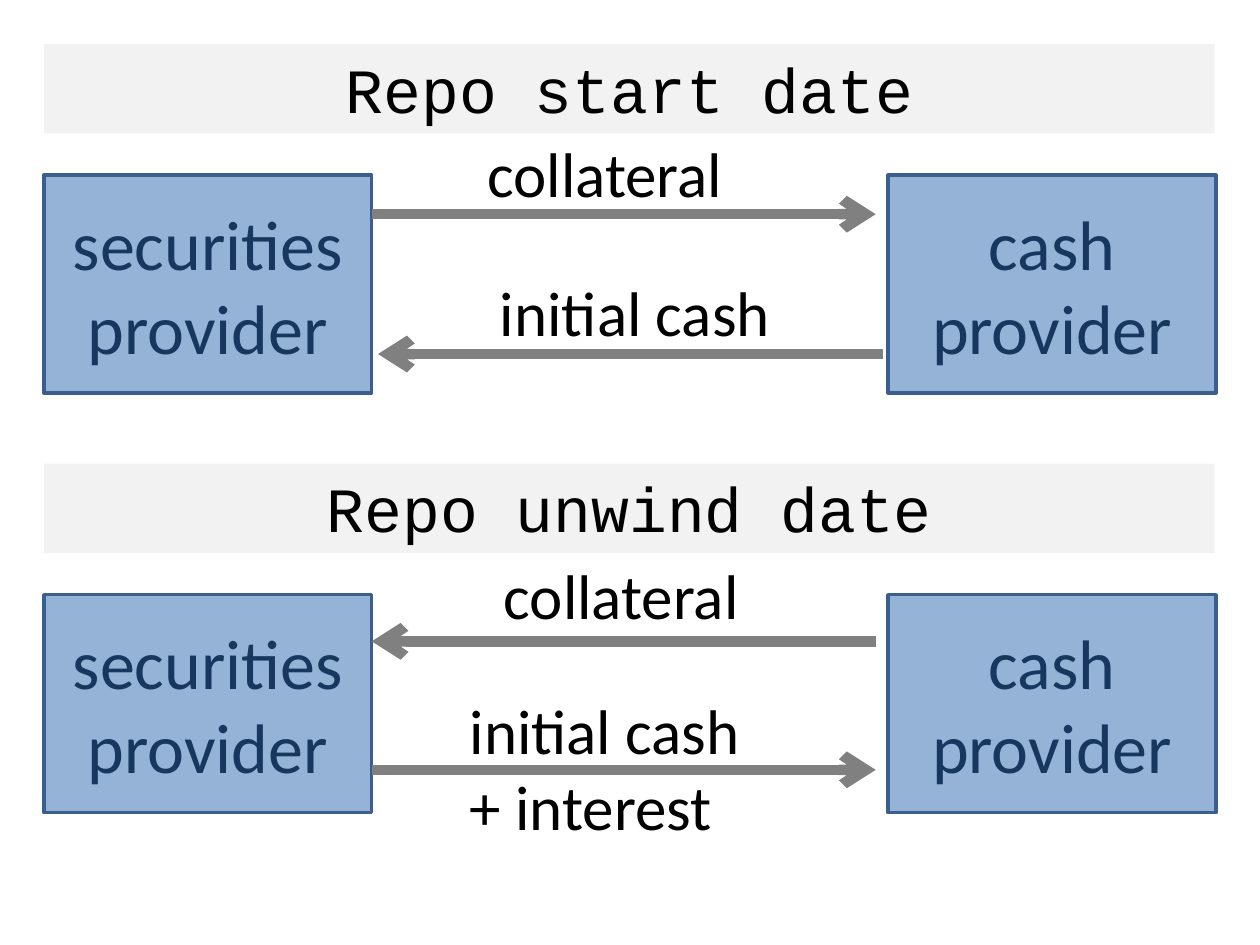
from lxml.etree import SubElement
from pptx import Presentation
from pptx.dml.color import RGBColor
from pptx.enum.shapes import MSO_CONNECTOR, MSO_SHAPE
from pptx.enum.text import MSO_ANCHOR, MSO_AUTO_SIZE, PP_ALIGN
from pptx.oxml.ns import qn
from pptx.util import Inches, Pt

BLACK = RGBColor(0x00, 0x00, 0x00)
NAVY = RGBColor(0x17, 0x37, 0x5E)
BLUE = RGBColor(0x95, 0xB3, 0xD7)
EDGE = RGBColor(0x3A, 0x5F, 0x8C)
GRAY = RGBColor(0x80, 0x80, 0x80)
PALE = RGBColor(0xF2, 0xF2, 0xF2)

LEFT, RIGHT = 0.35, 7.05
PARTY_WIDTH, PARTY_HEIGHT = 2.6, 1.73
FLOW_START, FLOW_END = LEFT + PARTY_WIDTH, 6.95


class RepoDiagram:
    """Draws the parties and flows of a repo on one slide."""

    def __init__(self, slide):
        self.shapes = slide.shapes
        self.body_font = "Calibri"
        self.heading_font = "Courier New"

    def set_text(self, shape, text, font, size, color, align):
        frame = shape.text_frame
        frame.text = text
        for paragraph in frame.paragraphs:
            paragraph.alignment = align
            for run in paragraph.runs:
                run.font.name = font
                run.font.size = Pt(size)
                run.font.color.rgb = color
        return frame

    def rectangle(self, left, top, width, height, fill):
        box = self.shapes.add_shape(
            MSO_SHAPE.RECTANGLE, Inches(left), Inches(top), Inches(width), Inches(height))
        box.shadow.inherit = False
        box.fill.solid()
        box.fill.fore_color.rgb = fill
        return box

    def heading(self, top, text):
        band = self.rectangle(LEFT, top, 9.29, 0.71, PALE)
        band.line.fill.background()
        frame = self.set_text(band, text, self.heading_font, 36, BLACK, PP_ALIGN.CENTER)
        frame.vertical_anchor = MSO_ANCHOR.TOP
        frame.word_wrap = True
        frame.auto_size = MSO_AUTO_SIZE.SHAPE_TO_FIT_TEXT

    def party(self, left, top, text):
        party = self.rectangle(left, top, PARTY_WIDTH, PARTY_HEIGHT, BLUE)
        party.line.color.rgb = EDGE
        party.line.width = Pt(2)
        frame = self.set_text(party, text, self.body_font, 40, NAVY, PP_ALIGN.CENTER)
        frame.vertical_anchor = MSO_ANCHOR.MIDDLE
        frame.word_wrap = True

    def flow(self, start, end, y):
        arrow = self.shapes.add_connector(
            MSO_CONNECTOR.STRAIGHT, Inches(start), Inches(y), Inches(end), Inches(y))
        arrow.line.color.rgb = GRAY
        arrow.line.width = Pt(6)
        properties = arrow._element.spPr
        SubElement(properties.find(qn("a:ln")), qn("a:tailEnd"), type="arrow")
        SubElement(properties, qn("a:effectLst"))

    def label(self, left, top, width, height, text):
        label = self.shapes.add_textbox(
            Inches(left), Inches(top), Inches(width), Inches(height))
        frame = self.set_text(label, text, self.body_font, 36, BLACK, PP_ALIGN.LEFT)
        frame.word_wrap = False
        frame.auto_size = MSO_AUTO_SIZE.SHAPE_TO_FIT_TEXT


def main():
    presentation = Presentation()
    presentation.slide_width = Inches(10)
    presentation.slide_height = Inches(7.5)
    diagram = RepoDiagram(presentation.slides.add_slide(presentation.slide_layouts[6]))

    for heading_top, heading in ((0.35, "Repo start date"), (3.68, "Repo unwind date")):
        party_top = heading_top + 1.04
        diagram.party(LEFT, party_top, "securities provider")
        diagram.party(RIGHT, party_top, "cash\nprovider")
        diagram.heading(heading_top, heading)

    for start, end, y in (
        (FLOW_START, FLOW_END, 1.7),
        (7.01, 3, 2.81),
        (FLOW_END, FLOW_START, 5.09),
        (FLOW_START, FLOW_END, 6.11),
    ):
        diagram.flow(start, end, y)

    for left, top, width, height, text in (
        (3.77, 1.02, 2.08, 0.71, "collateral"),
        (3.87, 2.12, 2.37, 0.71, "initial cash"),
        (3.9, 4.37, 2.08, 0.71, "collateral"),
        (3.63, 5.44, 2.48, 1.31, "initial cash\n+ interest"),
    ):
        diagram.label(left, top, width, height, text)

    presentation.save("out.pptx")


if __name__ == "__main__":
    main()
